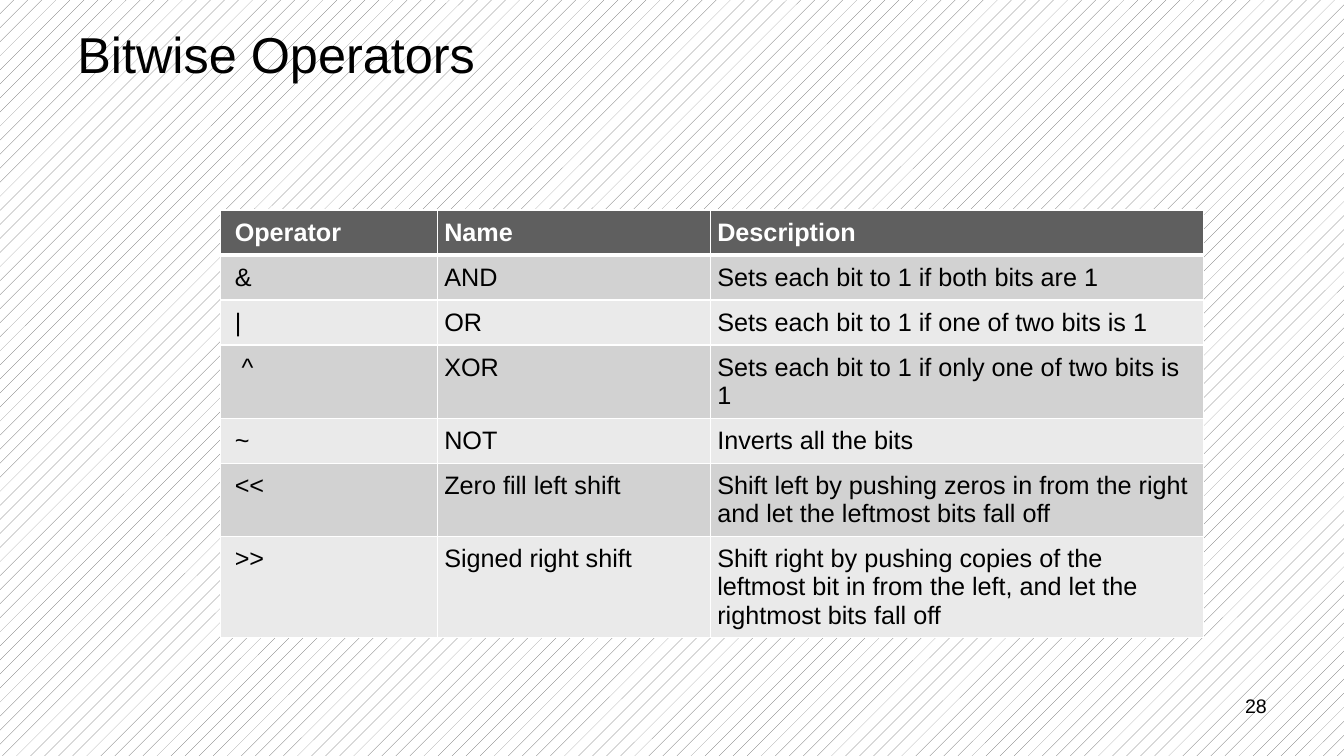
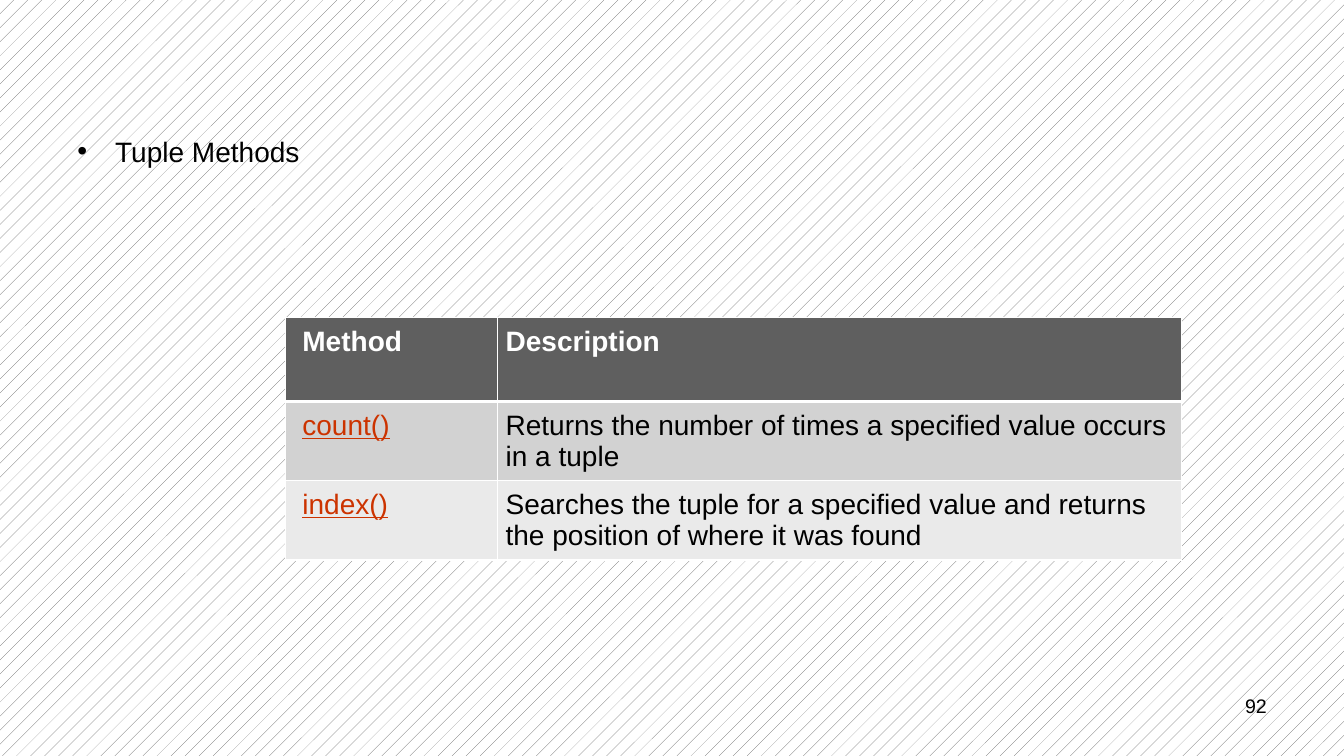
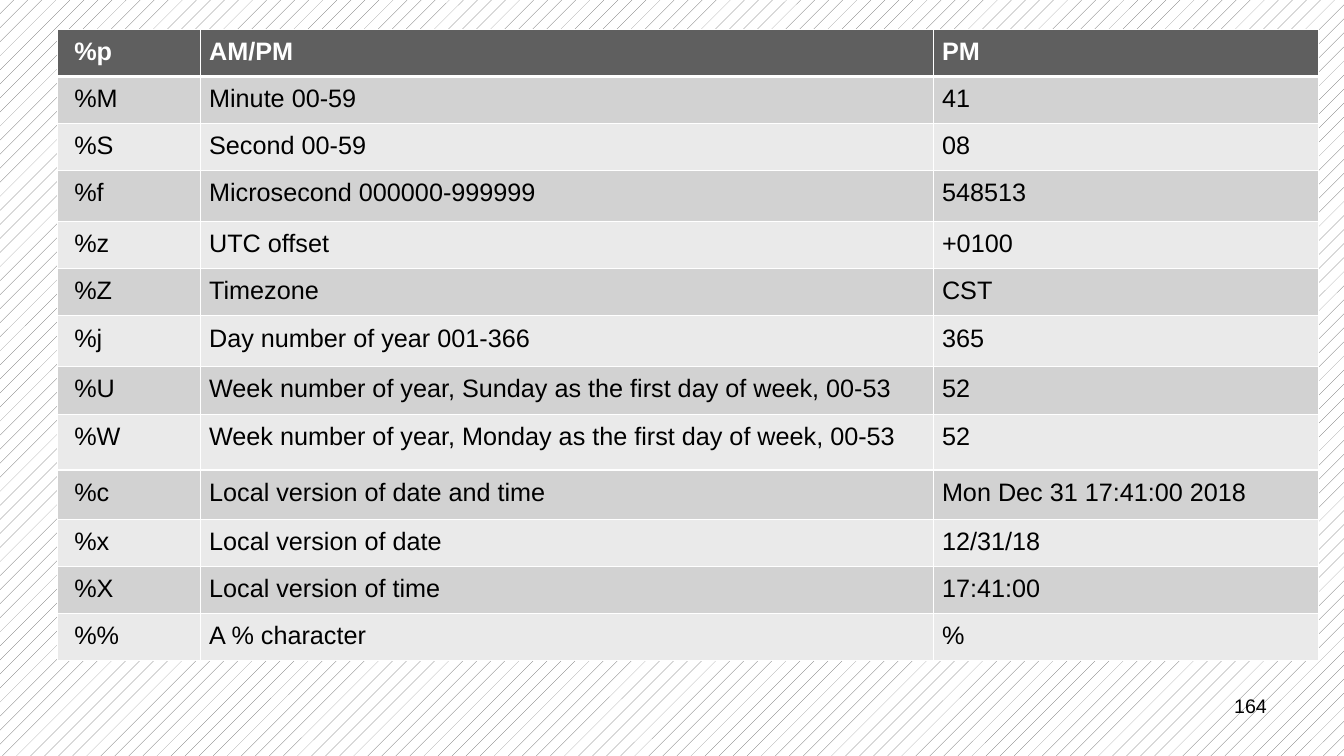
"""Build three Python reference slides: operators, tuple methods and date format codes."""
from dataclasses import dataclass

import lxml.etree
import pptx
import pptx.dml.color
import pptx.enum.dml
import pptx.enum.text
import pptx.oxml.ns
import pptx.presentation
import pptx.slide
import pptx.table
import pptx.text.text
import pptx.util

BLACK = pptx.dml.color.RGBColor(0x00, 0x00, 0x00)
WHITE = pptx.dml.color.RGBColor(0xFF, 0xFF, 0xFF)
CHARCOAL = pptx.dml.color.RGBColor(0x5F, 0x5F, 0x5F)
DARK_BAND = pptx.dml.color.RGBColor(0xD2, 0xD2, 0xD2)
LIGHT_BAND = pptx.dml.color.RGBColor(0xEA, 0xEA, 0xEA)
LINK_RED = pptx.dml.color.RGBColor(0xCC, 0x33, 0x00)

FONT = "Arial"
SLIDE_WIDTH = pptx.util.Inches(13.33)
SLIDE_HEIGHT = pptx.util.Inches(7.5)
GRID_COLUMNS = 160
GRID_ROWS = 90

TITLE_ONLY, TITLE_AND_BODY, BLANK = 5, 1, 6
TEXT_ROW = 4.92
CODE_ROW = 5.3


@dataclass(frozen=True)
class Area:
    """A rectangle in grid columns and rows."""

    left: float
    top: float
    width: float
    height: float


@dataclass(frozen=True)
class Reference:
    """A banded table with its place and sizes in grid units."""

    left: float
    top: float
    widths: tuple[float, ...]
    heights: tuple[float, ...]
    entries: tuple[tuple[str, ...], ...]
    size: int = 18
    lead_inset: float = 2
    side_inset: float = 1
    linked: bool = False


TITLE_AREA = Area(8, 2.5, 144, 7.7)
BODY_AREA = Area(8, 15.4, 144, 65)
NUMBER_AREA = Area(114.7, 82, 37.3, 6.2)

OPERATORS = Reference(
    left=26.25,
    top=25,
    widths=(25.8, 32.5, 58.7),
    heights=(TEXT_ROW,) * 7,
    lead_inset=1.7,
    side_inset=0.85,
    entries=(
        ("Operator", "Name", "Description"),
        ("&", "AND", "Sets each bit to 1 if both bits are 1"),
        ("|", "OR", "Sets each bit to 1 if one of two bits is 1"),
        (" ^", "XOR", "Sets each bit to 1 if only one of two bits is 1"),
        ("~", "NOT", "Inverts all the bits"),
        ("<<", "Zero fill left shift",
         "Shift left by pushing zeros in from the right and let the leftmost bits fall off"),
        (">>", "Signed right shift",
         "Shift right by pushing copies of the leftmost bit in from the left, "
         "and let the rightmost bits fall off"),
    ),
)

TUPLE_METHODS = Reference(
    left=34,
    top=37.8,
    widths=(25.2, 81.5),
    heights=(10, TEXT_ROW, TEXT_ROW),
    size=20,
    linked=True,
    entries=(
        ("Method", "Description"),
        ("count()", "Returns the number of times a specified value occurs in a tuple"),
        ("index()", "Searches the tuple for a specified value and returns "
                    "the position of where it was found"),
    ),
)

FORMAT_CODES = Reference(
    left=6.85,
    top=3.5,
    widths=(17.05, 87.25, 45.8),
    heights=(*(CODE_ROW,) * 3, 6.1, CODE_ROW, 5.04, 6, 5.76, 6.6, 5.9, *(CODE_ROW,) * 3),
    entries=(
        ("%p", "AM/PM", "PM"),
        ("%M", "Minute 00-59", "41"),
        ("%S", "Second 00-59", "08"),
        ("%f", "Microsecond 000000-999999", "548513"),
        ("%z", "UTC offset", "+0100"),
        ("%Z", "Timezone", "CST"),
        ("%j", "Day number of year 001-366", "365"),
        ("%U", "Week number of year, Sunday as the first day of week, 00-53", "52"),
        ("%W", "Week number of year, Monday as the first day of week, 00-53", "52"),
        ("%c", "Local version of date and time", "Mon Dec 31 17:41:00 2018"),
        ("%x", "Local version of date", "12/31/18"),
        ("%X", "Local version of time", "17:41:00"),
        ("%%", "A % character", "%"),
    ),
)


def across(columns: float) -> pptx.util.Emu:
    return pptx.util.Emu(round(SLIDE_WIDTH * columns / GRID_COLUMNS))


def down(rows: float) -> pptx.util.Emu:
    return pptx.util.Emu(round(SLIDE_HEIGHT * rows / GRID_ROWS))


def frame(area: Area) -> tuple[pptx.util.Emu, ...]:
    return across(area.left), down(area.top), across(area.width), down(area.height)


def write(
    paragraph: pptx.text.text._Paragraph,
    text: str,
    size: int,
    color: pptx.dml.color.RGBColor = BLACK,
    bold: bool = False,
    underline: bool = False,
) -> None:
    run = paragraph.add_run()
    run.text = text
    run.font.name = FONT
    run.font.size = pptx.util.Pt(size)
    run.font.color.rgb = color
    run.font.bold = bold
    run.font.underline = underline


def fill_placeholder(
    slide: pptx.slide.Slide, index: int, area: Area, text: str, size: int
) -> pptx.text.text.TextFrame:
    holder = slide.placeholders[index]
    holder.left, holder.top, holder.width, holder.height = frame(area)
    paragraph = holder.text_frame.paragraphs[0]
    paragraph.alignment = pptx.enum.text.PP_ALIGN.LEFT
    write(paragraph, text, size)
    return holder.text_frame


def add_title(slide: pptx.slide.Slide, text: str) -> None:
    heading = fill_placeholder(slide, 0, TITLE_AREA, text, 36)
    heading.vertical_anchor = pptx.enum.text.MSO_ANCHOR.MIDDLE


def add_page_number(slide: pptx.slide.Slide, number: int) -> None:
    footer = slide.shapes.add_textbox(*frame(NUMBER_AREA)).text_frame
    footer.word_wrap = True
    footer.paragraphs[0].alignment = pptx.enum.text.PP_ALIGN.RIGHT
    write(footer.paragraphs[0], str(number), 14)


def add_borders(cell: pptx.table._Cell, top: float, bottom: float) -> None:
    properties = cell._tc.get_or_add_tcPr()
    qn = pptx.oxml.ns.qn
    for side, points in (("L", 1), ("R", 1), ("T", top), ("B", bottom)):
        line = lxml.etree.SubElement(
            properties, qn(f"a:ln{side}"), w=str(pptx.util.Pt(points))
        )
        solid = lxml.etree.SubElement(line, qn("a:solidFill"))
        lxml.etree.SubElement(solid, qn("a:srgbClr"), val=str(WHITE))


def add_reference(slide: pptx.slide.Slide, reference: Reference) -> None:
    area = Area(reference.left, reference.top, sum(reference.widths), sum(reference.heights))
    table = slide.shapes.add_table(
        len(reference.heights), len(reference.widths), *frame(area)
    ).table
    table.horz_banding = False
    for column, width in zip(table.columns, reference.widths):
        column.width = across(width)
    for row, height in zip(table.rows, reference.heights):
        row.height = down(height)
    for r, entry in enumerate(reference.entries):
        header = r == 0
        band = CHARCOAL if header else DARK_BAND if r % 2 else LIGHT_BAND
        for c, text in enumerate(entry):
            cell = table.cell(r, c)
            linked = reference.linked and c == 0 and not header
            add_borders(cell, top=3 if r == 1 else 1, bottom=3 if header else 1)
            cell.fill.solid()
            cell.fill.fore_color.rgb = band
            cell.margin_left = across(reference.side_inset if c else reference.lead_inset)
            cell.margin_right = across(reference.side_inset)
            cell.margin_top = cell.margin_bottom = down(1)
            color = WHITE if header else LINK_RED if linked else BLACK
            write(cell.text_frame.paragraphs[0], text, reference.size, color, header, linked)


def add_slide(
    deck: pptx.presentation.Presentation, layout: int, number: int, reference: Reference
) -> pptx.slide.Slide:
    slide = deck.slides.add_slide(deck.slide_layouts[layout])
    add_reference(slide, reference)
    add_page_number(slide, number)
    return slide


def main() -> None:
    deck = pptx.Presentation()
    deck.slide_width, deck.slide_height = SLIDE_WIDTH, SLIDE_HEIGHT
    backdrop = deck.slide_master.background.fill
    backdrop.patterned()
    backdrop.pattern = pptx.enum.dml.MSO_PATTERN.PERCENT_5
    backdrop.fore_color.rgb = CHARCOAL
    backdrop.back_color.rgb = WHITE

    operators = add_slide(deck, TITLE_ONLY, 28, OPERATORS)
    add_title(operators, "Bitwise Operators")

    methods = add_slide(deck, TITLE_AND_BODY, 92, TUPLE_METHODS)
    fill_placeholder(methods, 1, BODY_AREA, "Tuple Methods", 20)
    unused_title = methods.shapes.title.element
    unused_title.getparent().remove(unused_title)

    add_slide(deck, BLANK, 164, FORMAT_CODES)
    deck.save("out.pptx")


if __name__ == "__main__":
    main()
